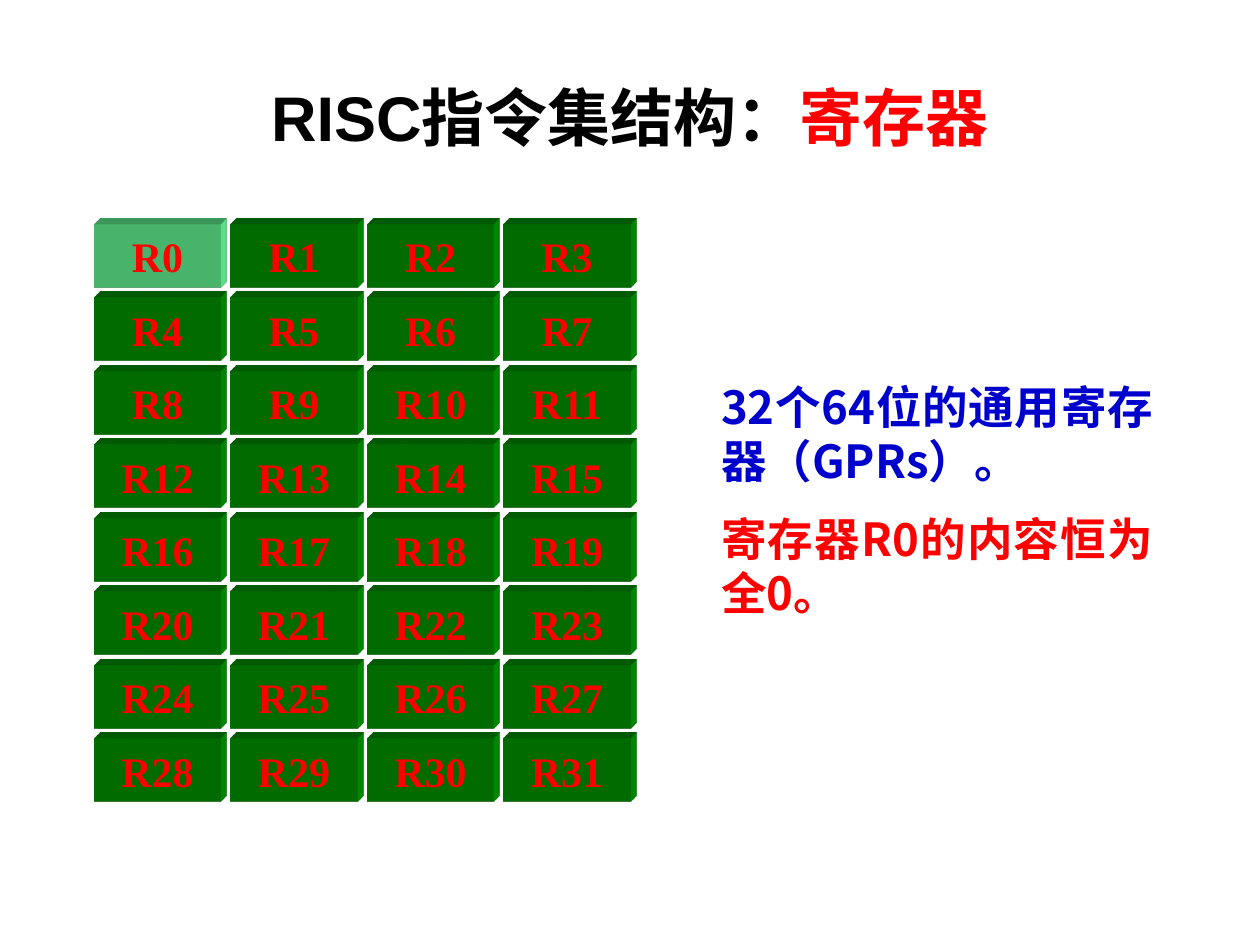
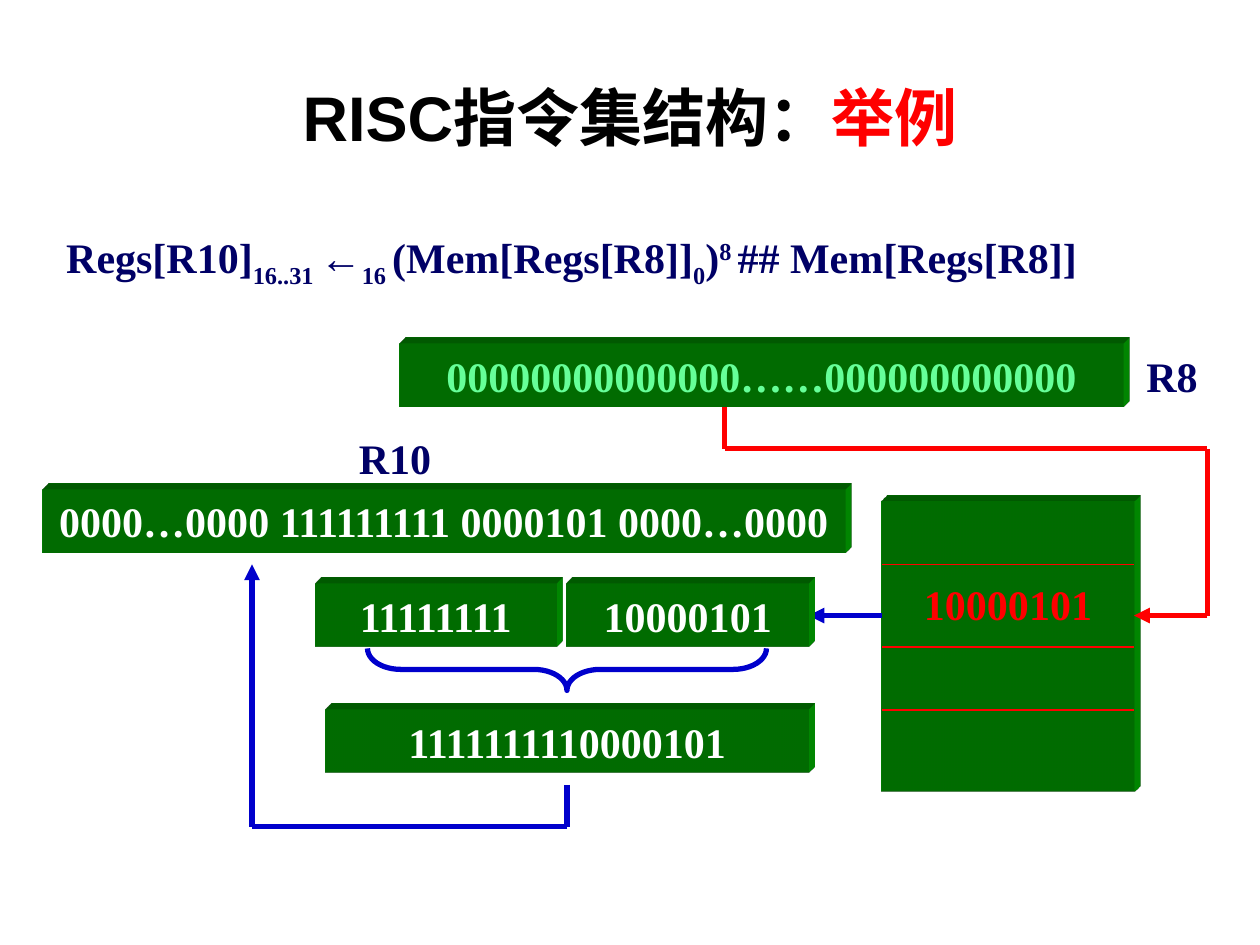
from lxml.etree import SubElement
from pptx import Presentation
from pptx.dml.color import RGBColor
from pptx.enum.shapes import MSO_CONNECTOR, MSO_SHAPE
from pptx.enum.text import MSO_ANCHOR, PP_ALIGN
from pptx.oxml import parse_xml
from pptx.oxml.ns import nsdecls, qn
from pptx.util import Pt

SCALE = 9525
RED, BLUE, NAVY = "FF0000", "0000CC", "000066"
GREEN, MINT, WHITE, BLACK = "009900", "66FF99", "FFFFFF", "000000"
SERIF, SANS, HAN = "Times New Roman", "Arial", "Noto Sans CJK SC"


def px(*nums):
    return [num * SCALE for num in nums]


def tint(text):
    return RGBColor.from_string(text)


def style(font, size, color, name):
    font.size, font.bold, font.name = Pt(size), True, name
    font.color.rgb = tint(color)
    SubElement(font._rPr, qn("a:ea")).set("typeface", HAN)


def title(slide, topic):
    head = slide.shapes.title
    head.left, head.top, head.width, head.height = px(48, 29, 864, 120)
    head.text_frame.vertical_anchor = MSO_ANCHOR.MIDDLE
    para = head.text_frame.paragraphs[0]
    para.alignment = PP_ALIGN.CENTER
    style(para.font, 36, BLACK, SANS)
    para.add_run().text = "RISC指令集结构："
    run = para.add_run()
    run.text = topic
    run.font.color.rgb = tint(RED)


def write(para, text, color, align, size=24, name=SERIF):
    para.add_run().text = text
    para.alignment = align
    para.space_before = Pt(size / 2)
    style(para.font, size, color, name)


def frame(slide, box):
    area = slide.shapes.add_textbox(*px(*box)).text_frame
    area.word_wrap = True
    return area


def label(slide, box, text):
    write(frame(slide, box).paragraphs[0], text, NAVY, PP_ALIGN.LEFT)


def extrude(shape, color):
    props = shape._element.spPr
    props.append(parse_xml(
        f'<a:scene3d {nsdecls("a")}><a:camera prst="legacyObliqueTopRight"/>'
        '<a:lightRig rig="legacyFlat3" dir="b"/></a:scene3d>'))
    props.append(parse_xml(
        f'<a:sp3d {nsdecls("a")} extrusionH="125400" prstMaterial="legacyMatte">'
        '<a:bevelT w="13500" h="13500" prst="angle"/>'
        '<a:bevelB w="13500" h="13500" prst="angle"/>'
        f'<a:extrusionClr><a:srgbClr val="{color}"/></a:extrusionClr></a:sp3d>'))


def block(shapes, box, text, color, fill=GREEN, drop=0):
    shape = shapes.add_shape(MSO_SHAPE.RECTANGLE, *px(*box))
    shape.shadow.inherit = False
    shape.fill.solid()
    shape.fill.fore_color.rgb = tint(fill)
    shape.line.fill.background()
    extrude(shape, fill)
    area = shape.text_frame
    area.word_wrap = True
    area.vertical_anchor = MSO_ANCHOR.TOP
    area.margin_top += drop * SCALE
    write(area.paragraphs[0], text, color, PP_ALIGN.CENTER)


def line(shapes, start, end, color, width=3, arrow=False):
    link = shapes.add_connector(MSO_CONNECTOR.STRAIGHT, *px(*start, *end))
    link.line.width = Pt(width)
    link.line.color.rgb = tint(color)
    if arrow:
        SubElement(link.line._get_or_add_ln(), qn("a:tailEnd")).set("type", "triangle")
    SubElement(link._element.spPr, qn("a:effectLst"))


def route(shapes, points, color):
    last = len(points) - 2
    for step, (start, end) in enumerate(zip(points, points[1:])):
        line(shapes, start, end, color, arrow=step == last)


def brace(slide, box):
    shape = slide.shapes.add_shape(MSO_SHAPE.LEFT_BRACE, *px(*box))
    shape.rotation = 270
    shape.adjustments[0] = 0.79
    shape.shadow.inherit = False
    shape.fill.background()
    shape.line.width = Pt(3)
    shape.line.color.rgb = tint(BLUE)


def formula(slide, box, parts):
    para = frame(slide, box).paragraphs[0]
    para.line_spacing = 1.2
    style(para.font, 24, NAVY, SERIF)
    for text, shift in parts:
        run = para.add_run()
        run.text = text
        if shift:
            run.font._rPr.set("baseline", str(shift * 1000))


def bank(slide):
    title(slide, "寄存器")
    group = slide.shapes.add_group_shape()
    for num in range(32):
        row, col = divmod(num, 4)
        box = 72 + 104 * col, 171 + 56 * row, 96, 48
        block(group.shapes, box, f"R{num}", RED, GREEN if num else MINT)
    area = frame(slide, (540, 284, 348, 197))
    write(area.paragraphs[0], "32个64位的通用寄存器（GPRs）。", BLUE, PP_ALIGN.JUSTIFY, 26, HAN)
    write(area.add_paragraph(), "寄存器R0的内容恒为全0。", RED, PP_ALIGN.JUSTIFY, 26, HAN)


def sample(slide):
    title(slide, "举例")
    formula(slide, (41, 163, 864, 56), [
        ("Regs[R10]", 0), ("16..31 ", -25), ("←", 0), ("16 ", -25),
        ("(Mem[Regs[R8]]", 0), ("0", -25), (")", 0), ("8 ", 30),
        ("## Mem[Regs[R8]]", 0)])
    shapes = slide.shapes
    block(shapes, (304, 262, 552, 48), "00000000000000……000000000000", MINT)
    memory = shapes.add_group_shape().shapes
    block(memory, (672, 382, 192, 221), "10000101", RED, drop=54)
    for y in (430, 493, 541):
        line(memory, (672, y), (864, y), RED, 1)
    label(slide, (864, 262, 64, 48), "R8")
    route(shapes, [(552, 310), (552, 342), (920, 342), (920, 469), (864, 469)], RED)
    route(shapes, [(672, 469), (616, 469)], BLUE)
    block(shapes, (432, 445, 184, 48), "10000101", WHITE)
    block(shapes, (240, 445, 184, 48), "11111111", WHITE)
    brace(slide, (416, 358, 32, 304))
    block(shapes, (248, 541, 368, 48), "1111111110000101", WHITE)
    route(shapes, [(432, 598), (432, 630), (192, 630), (192, 430)], BLUE)
    block(shapes, (32, 373, 612, 48), "0000…0000 111111111 0000101 0000…0000", WHITE)
    label(slide, (264, 325, 96, 48), "R10")


def main():
    deck = Presentation()
    deck.slide_width, deck.slide_height = px(960, 720)
    for build in (bank, sample):
        build(deck.slides.add_slide(deck.slide_layouts[5]))
    deck.save("out.pptx")


if __name__ == "__main__":
    main()
